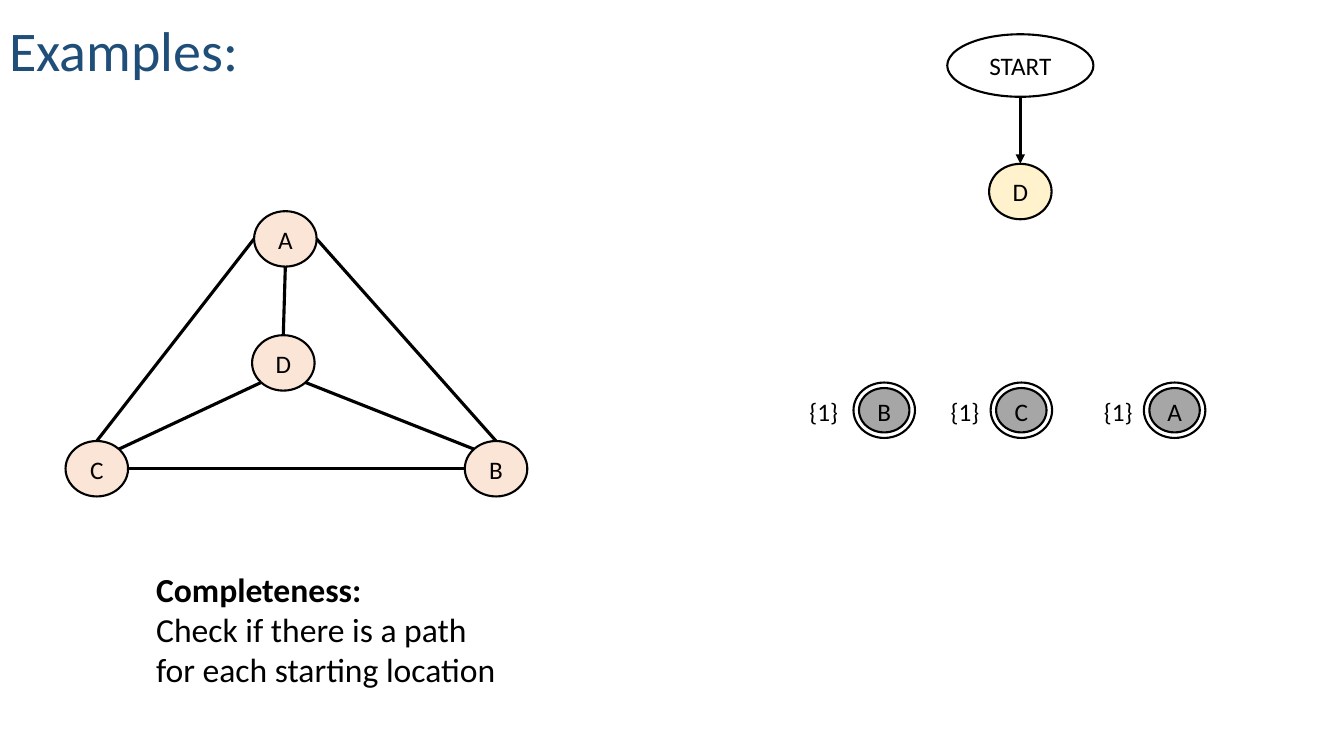
from dataclasses import dataclass
from math import sqrt

from lxml.etree import SubElement
from pptx import Presentation
from pptx.dml.color import RGBColor
from pptx.enum.shapes import MSO_CONNECTOR, MSO_SHAPE
from pptx.enum.text import MSO_ANCHOR, MSO_AUTO_SIZE, PP_ALIGN
from pptx.oxml.ns import qn
from pptx.util import Inches, Pt


@dataclass(frozen=True)
class Theme:
    font: str = "Calibri"
    title_size: int = 40
    body_size: int = 24
    label_size: int = 18
    outline_width: float = 1.5
    edge_width: float = 2.25
    title: str = "1F4E79"
    ink: str = "000000"
    paper: str = "FFFFFF"
    location: str = "FBE5D6"
    current: str = "FFF2CC"
    visited: str = "A6A6A6"


@dataclass(frozen=True)
class Oval:
    center_x: float
    center_y: float
    width: float = 0.62
    height: float = 0.55

    def point(self, horizontal, vertical):
        length = sqrt(horizontal ** 2 + vertical ** 2)
        return (self.center_x + horizontal / length * self.width / 2,
                self.center_y + vertical / length * self.height / 2)

    def box(self):
        return (self.center_x - self.width / 2, self.center_y - self.height / 2,
                self.width, self.height)


def write_text(paragraph, text, theme, size, color, bold=False, align=PP_ALIGN.LEFT):
    run = paragraph.add_run()
    run.text = text
    run.font.name = theme.font
    run.font.size = Pt(size)
    run.font.bold = bold
    run.font.color.rgb = RGBColor.from_string(color)
    paragraph.alignment = align


class SlideBuilder:
    def __init__(self, slide, theme):
        self.slide = slide
        self.theme = theme

    def title(self, text, box):
        shape = self.slide.shapes.title
        shape.left, shape.top, shape.width, shape.height = map(Inches, box)
        frame = shape.text_frame
        frame.auto_size = MSO_AUTO_SIZE.NONE
        frame.vertical_anchor = MSO_ANCHOR.BOTTOM
        paragraph = frame.paragraphs[0]
        paragraph.line_spacing = 0.9
        write_text(paragraph, text, self.theme, self.theme.title_size, self.theme.title)

    def text_box(self, lines, box, size, wrap=True, align=PP_ALIGN.LEFT):
        frame = self.slide.shapes.add_textbox(*map(Inches, box)).text_frame
        frame.word_wrap = wrap
        frame.auto_size = MSO_AUTO_SIZE.SHAPE_TO_FIT_TEXT
        for index, (text, bold) in enumerate(lines):
            paragraph = frame.add_paragraph() if index else frame.paragraphs[0]
            write_text(paragraph, text, self.theme, size, self.theme.ink, bold=bold, align=align)

    def oval(self, oval, fill, text=""):
        shape = self.slide.shapes.add_shape(MSO_SHAPE.OVAL, *map(Inches, oval.box()))
        shape.shadow.inherit = False
        shape.fill.solid()
        shape.fill.fore_color.rgb = RGBColor.from_string(fill)
        shape.line.color.rgb = RGBColor.from_string(self.theme.ink)
        shape.line.width = Pt(self.theme.outline_width)
        if text:
            shape.text_frame.vertical_anchor = MSO_ANCHOR.MIDDLE
            write_text(shape.text_frame.paragraphs[0], text, self.theme,
                       self.theme.label_size, self.theme.ink, align=PP_ALIGN.CENTER)

    def letter(self, text, center_x, top):
        self.text_box([(text, False)], (center_x - 0.175, top, 0.35, 0.4),
                      self.theme.label_size, wrap=False, align=PP_ALIGN.CENTER)

    def location(self, name, oval):
        self.oval(oval, self.theme.location)
        self.letter(name, oval.center_x, oval.center_y - 0.19)

    def visited(self, name, center_x, center_y, count, count_left):
        self.oval(Oval(center_x, center_y, 0.61, 0.55), self.theme.paper)
        self.oval(Oval(center_x, center_y, 0.5, 0.44), self.theme.visited)
        self.letter(name, center_x, center_y - 0.19)
        self.text_box([(count, False)], (count_left, center_y - 0.19, 0.49, 0.4),
                      self.theme.label_size)

    def edge(self, start, end, arrow=False):
        connector = self.slide.shapes.add_connector(
            MSO_CONNECTOR.STRAIGHT, *map(Inches, start + end))
        connector.line.color.rgb = RGBColor.from_string(self.theme.ink)
        connector.line.width = Pt(self.theme.edge_width)
        if arrow:
            SubElement(connector.line._get_or_add_ln(), qn("a:tailEnd"), type="triangle")
        SubElement(connector._element.spPr, qn("a:effectLst"))


def main():
    presentation = Presentation()
    presentation.slide_width, presentation.slide_height = Inches(13.33), Inches(7.5)
    slide = presentation.slides.add_slide(presentation.slide_layouts[5])
    theme = Theme()
    builder = SlideBuilder(slide, theme)
    builder.title("Examples:", (-0.01, -0.05, 8.74, 0.93))

    start = Oval(10.12, 0.65, 1.45, 0.62)
    current = Oval(10.12, 1.9)
    builder.oval(start, theme.paper, "START")
    builder.oval(current, theme.current, "D")
    builder.edge(start.point(0, 1), current.point(0, -1), arrow=True)

    for name, center_x, count_left in (("B", 8.77, 7.93), ("C", 10.13, 9.33), ("A", 11.65, 10.85)):
        builder.visited(name, center_x, 4.07, "{1}", count_left)

    locations = {
        "A": Oval(2.83, 2.37),
        "B": Oval(4.92, 4.65),
        "C": Oval(0.96, 4.65),
        "D": Oval(2.81, 3.6),
    }
    edges = (
        ("A", (-1, 0), "C", (0, -1)),
        ("A", (1, 0), "B", (0, -1)),
        ("A", (0, 1), "D", (0, -1)),
        ("C", (1, 0), "B", (-1, 0)),
        ("C", (1, -1), "D", (-1, 1)),
        ("D", (1, 1), "B", (-1, -1)),
    )
    for origin, origin_side, target, target_side in edges:
        builder.edge(locations[origin].point(*origin_side), locations[target].point(*target_side))
    for name, oval in locations.items():
        builder.location(name, oval)

    builder.text_box(
        [("Completeness:", True), ("Check if there is a path for each starting location", False)],
        (1.45, 5.59, 3.73, 1.31), theme.body_size)
    presentation.save("out.pptx")


if __name__ == "__main__":
    main()
